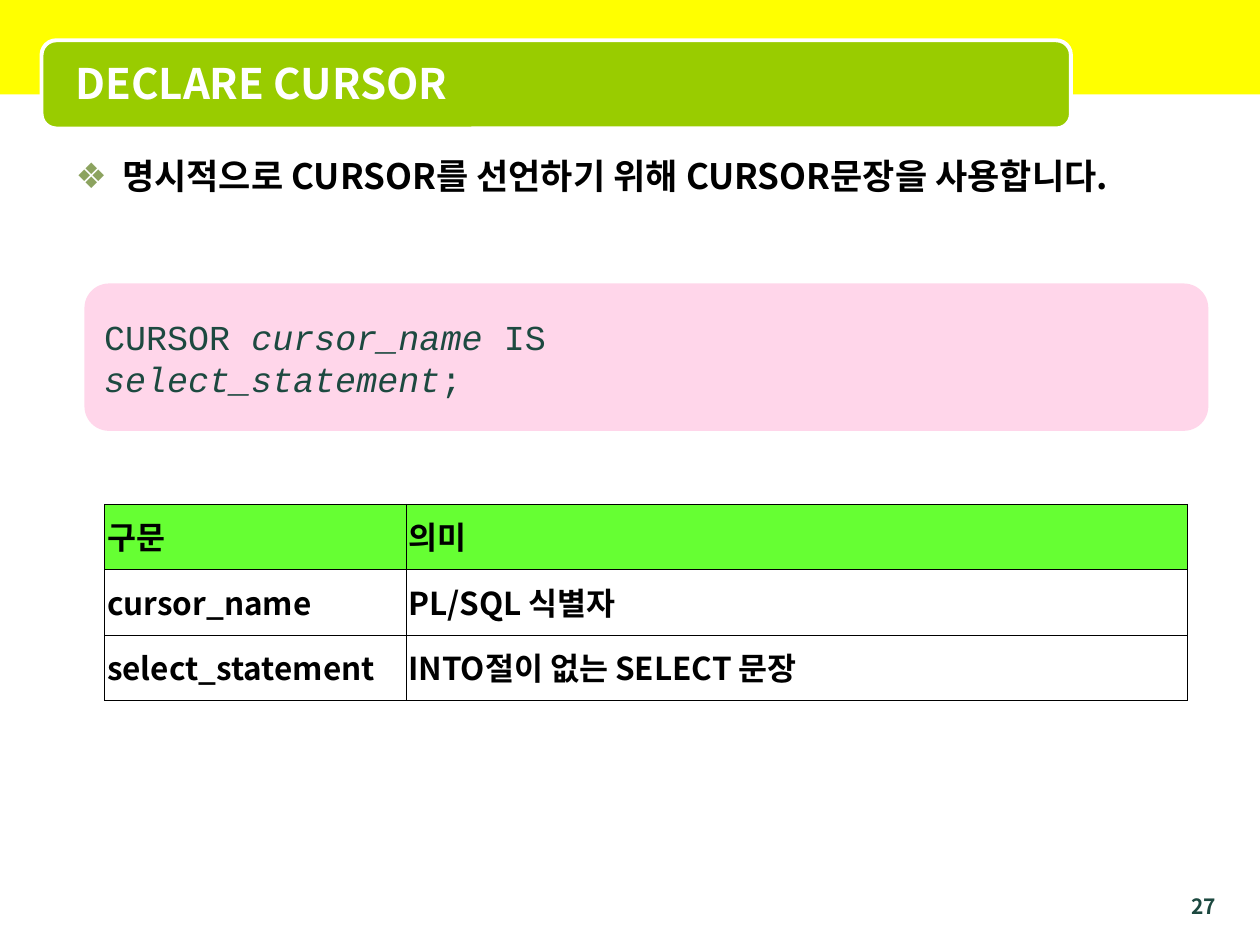
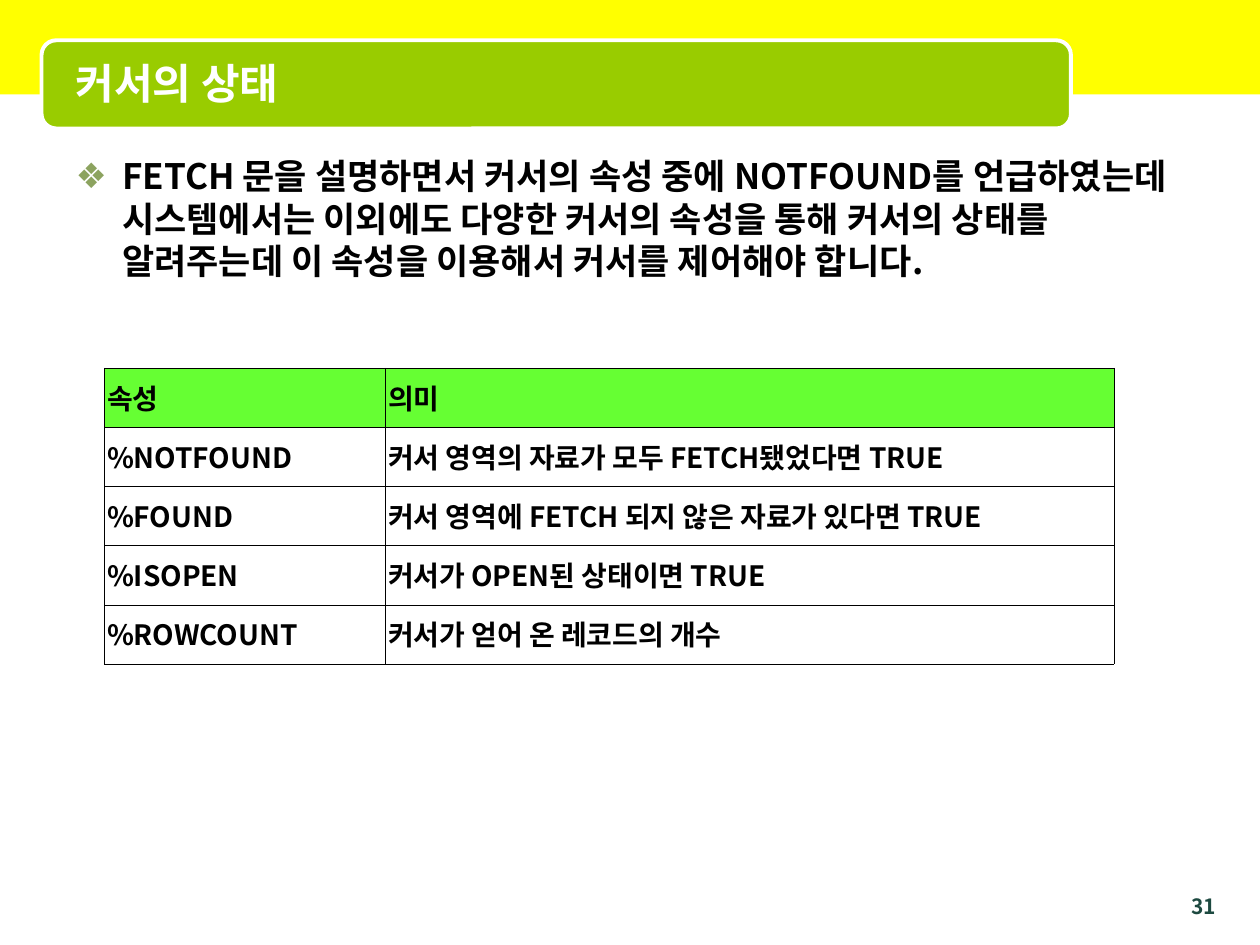
from lxml.etree import SubElement
from pptx import Presentation
from pptx.dml.color import RGBColor
from pptx.enum.shapes import MSO_SHAPE
from pptx.enum.text import MSO_ANCHOR, MSO_AUTO_SIZE, PP_ALIGN
from pptx.oxml.ns import qn
from pptx.util import Inches, Pt

SANS = "Noto Sans CJK KR"
MONO = "Courier New"
COLORS = {
    "band": "FFFF00", "tab": "99CC00", "white": "FFFFFF", "text": "000000",
    "dark": "1D4940", "bullet": "8CA35F", "code": "FF99CC", "head": "66FF33",
}


def color(name):
    return RGBColor.from_string(COLORS[name])


def place(shape, box):
    shape.left, shape.top, shape.width, shape.height = map(Inches, box)


def add_run(para, text, size, ink="text", font=SANS, bold=True, italic=False):
    run = para.add_run()
    run.text = text
    style = run.font
    style.size, style.bold, style.italic = Pt(size), bold, italic
    style.color.rgb = color(ink)
    style.name = font
    SubElement(run.font._element, qn("a:ea"), typeface=font)


def add_block(slide, kind, box, fill):
    block = slide.shapes.add_shape(kind, *map(Inches, box))
    block.shadow.inherit = False
    block.fill.solid()
    block.fill.fore_color.rgb = color(fill)
    block.line.fill.background()
    return block


# Yellow band, green tab, title and page number
def add_frame(slide, title, page):
    head = slide.shapes.title
    band = add_block(slide, MSO_SHAPE.RECTANGLE, (0, 0, 10, 0.75), "band")
    tab = add_block(slide, MSO_SHAPE.ROUNDED_RECTANGLE,
                    (0.33, 0.32, 8.17, 0.7), "tab")
    tab.line.color.rgb = color("white")
    tab.line.width = Pt(2.25)
    for block in (band, tab):
        head.element.addprevious(block.element)

    place(head, (0.5, 0.35, 7.92, 0.62))
    frame = head.text_frame
    frame.auto_size = MSO_AUTO_SIZE.NONE
    frame.vertical_anchor = MSO_ANCHOR.MIDDLE
    frame.paragraphs[0].alignment = PP_ALIGN.LEFT
    add_run(frame.paragraphs[0], title, 24, "white")

    number = slide.shapes.add_textbox(*map(Inches, (9.25, 7.04, 0.5, 0.21)))
    number.text_frame.word_wrap = True
    para = number.text_frame.paragraphs[0]
    para.alignment = PP_ALIGN.RIGHT
    add_run(para, str(page), 12, "dark")


# Bulleted statement in the body placeholder
def add_body(slide, text):
    body = slide.placeholders[1]
    place(body, (0.5, 1.18, 9, 6.14))
    body.text_frame.auto_size = MSO_AUTO_SIZE.NONE
    para = body.text_frame.paragraphs[0]
    para.space_before = Pt(24)
    para.line_spacing = Pt(24)
    props = para._p.get_or_add_pPr()
    props.set("marL", str(Inches(0.37)))
    props.set("indent", str(-Inches(0.37)))
    tint = SubElement(props, qn("a:buClr"))
    SubElement(tint, qn("a:srgbClr"), val=COLORS["bullet"])
    SubElement(props, qn("a:buChar"), char="❖")
    add_run(para, text, 20)


# Pink syntax panel; each line is a list of (text, italic)
def add_code(slide, box, lines):
    panel = add_block(slide, MSO_SHAPE.ROUNDED_RECTANGLE, box, "code")
    tint = panel.fill._xPr.find(qn("a:solidFill"))[0]
    SubElement(tint, qn("a:alpha"), val="40000")
    frame = panel.text_frame
    frame.vertical_anchor = MSO_ANCHOR.MIDDLE
    for i, line in enumerate(lines):
        para = frame.add_paragraph() if i else frame.paragraphs[0]
        para.alignment = PP_ALIGN.LEFT
        para.line_spacing = Pt(24)
        for text, italic in line:
            add_run(para, text, 20, "dark", MONO, False, italic)


def add_border(cell):
    props = cell._tc.get_or_add_tcPr()
    for side in ("lnL", "lnR", "lnT", "lnB"):
        line = SubElement(props, qn("a:" + side), w=str(Pt(0.11)))
        fill = SubElement(line, qn("a:solidFill"))
        SubElement(fill, qn("a:srgbClr"), val=COLORS["text"])


# Two-column table with a green heading row
def add_grid(slide, spot, widths, height, size, rows):
    box = (*spot, sum(widths), height * len(rows))
    grid = slide.shapes.add_table(len(rows), 2, *map(Inches, box)).table
    grid.first_row = grid.horz_banding = False
    for col, width in zip(grid.columns, widths):
        col.width = Inches(width)
    for r, row in enumerate(rows):
        grid.rows[r].height = Inches(height)
        for c, text in enumerate(row):
            cell = grid.cell(r, c)
            cell.margin_left = cell.margin_right = Inches(0.02)
            cell.vertical_anchor = MSO_ANCHOR.MIDDLE
            add_border(cell)
            if r == 0:
                cell.fill.solid()
                cell.fill.fore_color.rgb = color("head")
            else:
                cell.fill.background()
            para = cell.text_frame.paragraphs[0]
            para.alignment = PP_ALIGN.JUSTIFY
            para.line_spacing = 0.96
            add_run(para, text, size)


def add_page(deck, title, page, text):
    slide = deck.slides.add_slide(deck.slide_layouts[1])
    add_frame(slide, title, page)
    add_body(slide, text)
    return slide


def main():
    deck = Presentation()
    deck.slide_width, deck.slide_height = Inches(10), Inches(7.5)

    # Cursor declaration
    slide = add_page(deck, "DECLARE CURSOR", 27,
                     "명시적으로 CURSOR를 선언하기 위해 CURSOR문장을 사용합니다.")
    add_code(slide, (0.67, 2.25, 8.92, 1.17), [
        [("CURSOR ", False), ("cursor_name", True), (" IS", False)],
        [("select_statement", True), (";", False)],
    ])
    add_grid(slide, (0.83, 4), (2.39, 6.2), 0.52, 18, [
        ("구문", "의미"),
        ("cursor_name", "PL/SQL 식별자"),
        ("select_statement", "INTO절이 없는 SELECT 문장"),
    ])

    # Cursor state
    slide = add_page(deck, "커서의 상태", 31,
                     "FETCH 문을 설명하면서 커서의 속성 중에 NOTFOUND를 "
                     "언급하였는데 시스템에서는 이외에도 다양한 커서의 속성을 통해 "
                     "커서의 상태를 알려주는데 이 속성을 이용해서 커서를 제어해야 합니다.")
    add_grid(slide, (0.83, 2.92), (2.23, 5.78), 0.47, 16, [
        ("속성", "의미"),
        ("%NOTFOUND", "커서 영역의 자료가 모두 FETCH됐었다면 TRUE"),
        ("%FOUND", "커서 영역에 FETCH 되지 않은 자료가 있다면 TRUE"),
        ("%ISOPEN", "커서가 OPEN된 상태이면 TRUE"),
        ("%ROWCOUNT", "커서가 얻어 온 레코드의 개수"),
    ])

    deck.save("out.pptx")


if __name__ == "__main__":
    main()
